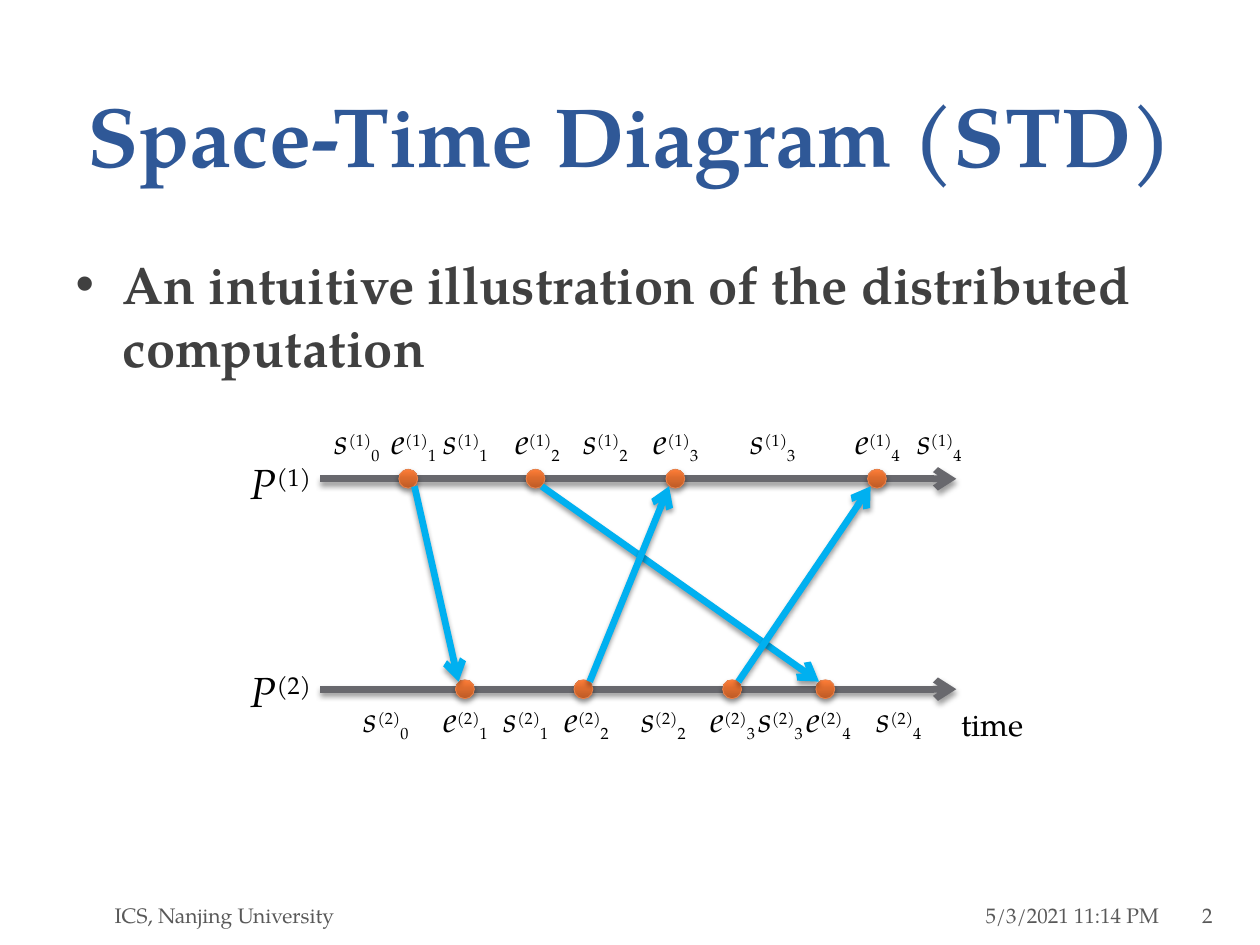
from copy import deepcopy

from pptx import Presentation
from pptx.dml.color import RGBColor
from pptx.enum.shapes import MSO_CONNECTOR, MSO_SHAPE
from pptx.enum.text import MSO_ANCHOR, PP_ALIGN
from pptx.oxml import parse_xml
from pptx.oxml.ns import nsdecls, qn
from pptx.util import Inches, Pt

FONT = "TeX Gyre Pagella"
BLUE = RGBColor(0x2F, 0x58, 0x97)
DARK = RGBColor(0x40, 0x40, 0x40)
GREY = RGBColor(0x59, 0x59, 0x59)
BLACK = RGBColor(0, 0, 0)
AXIS = RGBColor(0x68, 0x68, 0x6D)
MESSAGE = RGBColor(0x00, 0xB0, 0xF0)
EVENT_LINE = RGBColor(0xE7, 0x82, 0x4C)
EVENT_STOPS = [
    (0, RGBColor(0xBC, 0x5B, 0x26)),
    (0.55, RGBColor(0xDD, 0x6B, 0x2D)),
    (1, RGBColor(0xFF, 0x7D, 0x37)),
]

# Each process: label top, and x centres of events, event labels, state labels
PROCESSES = [
    dict(y=0.52, label_top=0.3, name_top=0.0,
         events=[1.48, 2.49, 3.6, 5.2],
         event_labels=[1.52, 2.5, 3.6, 5.2],
         state_labels=[1.07, 1.93, 3.04, 4.37, 5.69]),
    dict(y=2.19, label_top=2.21, name_top=1.95,
         events=[1.93, 2.87, 4.05, 4.79],
         event_labels=[1.93, 2.89, 4.05, 4.81],
         state_labels=[1.3, 2.41, 3.5, 4.43, 5.37]),
]
PROCESSES[0]["label_top"] = 0.0
PROCESSES[0]["name_top"] = 0.3

# Messages: (process, event) of the sender and of the receiver
MESSAGES = [((0, 0), (1, 0)), ((0, 1), (1, 3)), ((1, 1), (0, 2)), ((1, 2), (0, 3))]


def set_all(target, values):
    for name, value in values.items():
        setattr(target, name, value)


def add_span(para, text, color, baseline=0, **values):
    span = para.add_run()
    span.text = text
    span.font.color.rgb = color
    set_all(span.font, {"name": FONT, **values})
    if baseline:
        span._r.get_or_add_rPr().set("baseline", str(baseline * 1000))


def add_text(page, box, spans, frame_format, align):
    frame = page.shapes.add_textbox(*map(Inches, box)).text_frame
    set_all(frame, frame_format)
    para = frame.paragraphs[0]
    para.alignment = align
    for span in spans:
        add_span(para, **span)


def add_shadow(shape):
    shape._element.spPr.append(parse_xml(
        f'<a:effectLst {nsdecls("a")}><a:outerShdw blurRad="{Pt(3.1)}" dist="{Pt(2)}" '
        'dir="5400000" rotWithShape="0"><a:srgbClr val="000000"><a:alpha val="38000"/>'
        '</a:srgbClr></a:outerShdw></a:effectLst>'))


def add_arrow(page, start, end, color):
    arrow = page.shapes.add_connector(
        MSO_CONNECTOR.STRAIGHT, *map(Inches, (*start, *end)))
    arrow.line.color.rgb = color
    arrow.line.width = Pt(3.82)
    arrow.line._get_or_add_ln().append(
        parse_xml(f'<a:tailEnd {nsdecls("a")} type="arrow"/>'))
    add_shadow(arrow)


def add_event(page, x, y, size):
    box = (x - size / 2, y - size / 2, size, size)
    event = page.shapes.add_shape(MSO_SHAPE.FLOWCHART_CONNECTOR, *map(Inches, box))
    event.fill.gradient()
    event.fill.gradient_angle = 90
    first = event._element.spPr.find(".//" + qn("a:gs"))
    first.addnext(deepcopy(first))
    for stop, (position, color) in zip(event.fill.gradient_stops, EVENT_STOPS):
        stop.position = position
        stop.color.rgb = color
    event.line.color.rgb = EVENT_LINE
    event.line.width = Pt(0.5)
    add_shadow(event)


def add_label(page, x, top, letter, process, index):
    spans = [
        dict(text=letter, color=BLACK, size=Pt(20), italic=True),
        dict(text=f"({process})", color=BLACK, size=Pt(16), baseline=30),
        dict(text=str(index), color=BLACK, size=Pt(16), baseline=-25),
    ]
    add_text(page, (x - 0.28, top, 0.57, 0.44), spans,
             dict(word_wrap=False), PP_ALIGN.CENTER)


def add_process(page, left, top, number, process):
    y = top + process["y"]
    add_arrow(page, (left + 0.78, y), (left + 5.83, y), AXIS)
    name = [
        dict(text="P", color=BLACK, size=Pt(24), italic=True),
        dict(text=f"({number})", color=BLACK, size=Pt(24), baseline=30),
    ]
    add_text(page, (left, top + process["name_top"], 0.94, 0.5), name,
             dict(word_wrap=True), PP_ALIGN.CENTER)
    label_top = top + process["label_top"]
    for letter, key, first in (("s", "state_labels", 0), ("e", "event_labels", 1)):
        for index, x in enumerate(process[key], first):
            add_label(page, left + x, label_top, letter, number, index)


def add_diagram(page, left, top):
    for number, process in enumerate(PROCESSES, 1):
        add_process(page, left, top, number, process)

    # Event dots
    for process in PROCESSES:
        for x in process["events"]:
            add_event(page, left + x, top + process["y"], 0.15)

    # Messages run from the edge of one dot to the edge of another
    for (sender, sent), (receiver, received) in MESSAGES:
        source, target = PROCESSES[sender], PROCESSES[receiver]
        gap = 0.06 if receiver > sender else -0.06
        add_arrow(page,
                  (left + source["events"][sent] + 0.05, top + source["y"] + gap),
                  (left + target["events"][received] - 0.05, top + target["y"] - gap),
                  MESSAGE)

    add_text(page, (left + 5.66, top + 2.27, 0.91, 0.4),
             [dict(text="time", color=BLACK, size=Pt(18))],
             dict(word_wrap=True), PP_ALIGN.CENTER)


def fill_placeholder(holder, box, text, color, **values):
    set_all(holder, dict(zip(("left", "top", "width", "height"), map(Inches, box))))
    para = holder.text_frame.paragraphs[0]
    add_span(para, text, color, bold=True, **values)
    return para


def add_footer(page, top):
    parts = [
        (0.86, 4.45, "ICS, Nanjing University", 0.05, 0.1, PP_ALIGN.LEFT),
        (6.97, 2.28, "5/3/2021 11:14 PM", 0.1, 0.05, PP_ALIGN.RIGHT),
        (9.51, 0.45, "2", 0.03, 0.05, PP_ALIGN.LEFT),
    ]
    for left, width, text, margin_left, margin_right, align in parts:
        frame_format = dict(word_wrap=True, vertical_anchor=MSO_ANCHOR.MIDDLE,
                            margin_left=Inches(margin_left),
                            margin_right=Inches(margin_right))
        add_text(page, (left, top, width, 0.4),
                 [dict(text=text, color=GREY, size=Pt(12))], frame_format, align)


def main():
    deck = Presentation()
    deck.slide_width, deck.slide_height = Inches(10), Inches(7.5)
    page = deck.slides.add_slide(deck.slide_layouts[1])

    # Title and bullet
    title, body = page.placeholders
    para = fill_placeholder(title, (0.5, 0.36, 9, 1.15),
                            "Space-Time Diagram (STD)", BLUE, size=Pt(48))
    para.line_spacing = Pt(58)
    title.text_frame.vertical_anchor = MSO_ANCHOR.BOTTOM
    fill_placeholder(body, (0.5, 1.95, 9, 4.95),
                     "An intuitive illustration of the distributed computation",
                     DARK, size=Pt(30))

    add_diagram(page, 1.76, 3.28)
    add_footer(page, 7.06)
    deck.save("out.pptx")


if __name__ == "__main__":
    main()
